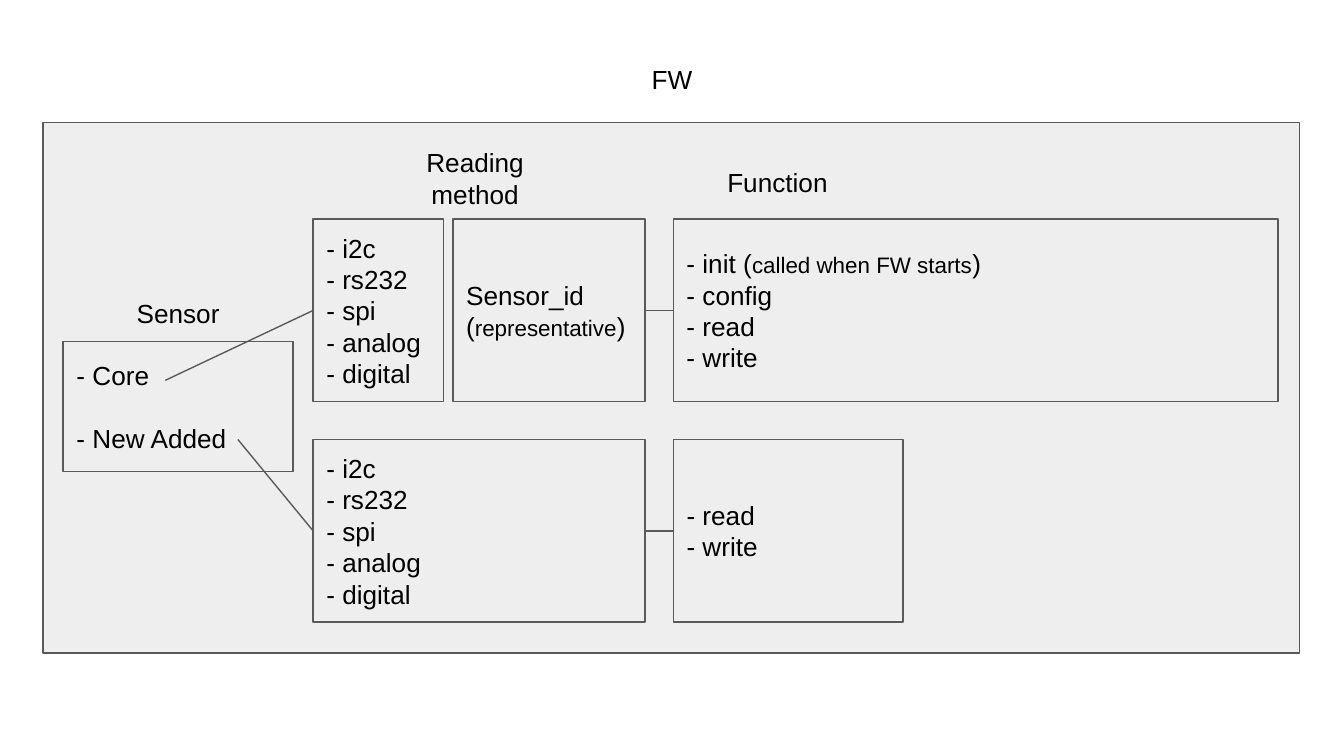
from pptx import Presentation
from pptx.dml.color import RGBColor
from pptx.enum.shapes import MSO_CONNECTOR, MSO_SHAPE
from pptx.enum.text import MSO_ANCHOR, PP_ALIGN
from pptx.oxml.ns import qn
from pptx.util import Inches, Pt
from lxml import etree

RECTANGLE = MSO_SHAPE.RECTANGLE
STRAIGHT = MSO_CONNECTOR.STRAIGHT
TOP, MIDDLE = MSO_ANCHOR.TOP, MSO_ANCHOR.MIDDLE
LEFT, CENTER = PP_ALIGN.LEFT, PP_ALIGN.CENTER

COLORS = {"panel": "EEEEEE", "line": "595959", "text": "000000"}
FONT = "Arial"
SIZE, SMALL = 14, 12


def color(name):
    return RGBColor.from_string(COLORS[name])


def write_text(frame, lines, align=LEFT, anchor=TOP, gap=0):
    frame.word_wrap = True
    frame.vertical_anchor = anchor
    frame.margin_left = frame.margin_right = Inches(0.1)
    frame.margin_top = frame.margin_bottom = Inches(0.1)
    for index, line in enumerate(lines):
        para = frame.add_paragraph() if index else frame.paragraphs[0]
        para.alignment = align
        if index and gap:
            para.space_before = Pt(gap)
        spans = [(line, SIZE)] if isinstance(line, str) else line
        for text, size in spans:
            span = para.add_run()
            span.text = text
            span.font.name = FONT
            span.font.size = Pt(size)
            span.font.color.rgb = color("text")


class Diagram:
    def __init__(self, slide):
        self.shapes = slide.shapes

    def style_line(self, line):
        line.color.rgb = color("line")
        line.width = Pt(0.75)

    def box(self, left, top, width, height, lines=(), fill=None, gap=0):
        box = self.shapes.add_shape(
            RECTANGLE, Inches(left), Inches(top), Inches(width), Inches(height))
        box.shadow.inherit = False
        if fill:
            box.fill.solid()
            box.fill.fore_color.rgb = color(fill)
        else:
            box.fill.background()
        self.style_line(box.line)
        write_text(box.text_frame, lines, anchor=MIDDLE, gap=gap)

    def label(self, text, left, top, width=1.19, height=0.39):
        label = self.shapes.add_textbox(
            Inches(left), Inches(top), Inches(width), Inches(height))
        write_text(label.text_frame, [text], align=CENTER)

    def link(self, x1, y1, x2, y2):
        link = self.shapes.add_connector(
            STRAIGHT, Inches(x1), Inches(y1), Inches(x2), Inches(y2))
        self.style_line(link.line)
        etree.SubElement(link._element.spPr, qn("a:effectLst"))


def main():
    deck = Presentation()
    deck.slide_width = Inches(10)
    deck.slide_height = Inches(10 * 9 / 16)
    diagram = Diagram(deck.slides.add_slide(deck.slide_layouts[6]))

    method_left, method_right, function_left = 2.33, 4.8, 5.01
    core_top, added_top, row_height = 1.63, 3.27, 1.36
    core_middle, added_middle = (top + row_height / 2 for top in (core_top, added_top))
    methods = ["- i2c", "- rs232", "- spi", "- analog", "- digital"]
    access = ["- read", "- write"]
    init = [("- init (", SIZE), ("called when FW starts", SMALL), (")", SIZE)]
    representative = [("(", SIZE), ("representative", SMALL), (")", SIZE)]

    diagram.box(0.32, 0.91, 9.35, 3.95, fill="panel")
    diagram.label("FW", 4.72, 0.37, width=0.56)
    diagram.label("Sensor", 0.73, 2.11)
    diagram.label("Reading method", 2.94, 0.99, height=0.68)
    diagram.label("Function", 5.19, 1.14)

    diagram.box(0.47, 2.54, 1.71, 0.97, ["- Core", "- New Added"], gap=16.8)
    for left, top, width, lines in [
        (method_left, core_top, 0.97, methods),
        (3.37, core_top, 1.43, ["Sensor_id", representative]),
        (function_left, core_top, 4.5, [init, "- config", *access]),
        (method_left, added_top, method_right - method_left, methods),
        (function_left, added_top, 1.71, access),
    ]:
        diagram.box(left, top, width, row_height, lines)

    for start_x, start_y, middle in [(1.23, 2.83, core_middle), (1.77, 3.27, added_middle)]:
        diagram.link(start_x, start_y, method_left, middle)
        diagram.link(method_right, middle, function_left, middle)

    deck.save("out.pptx")


if __name__ == "__main__":
    main()
